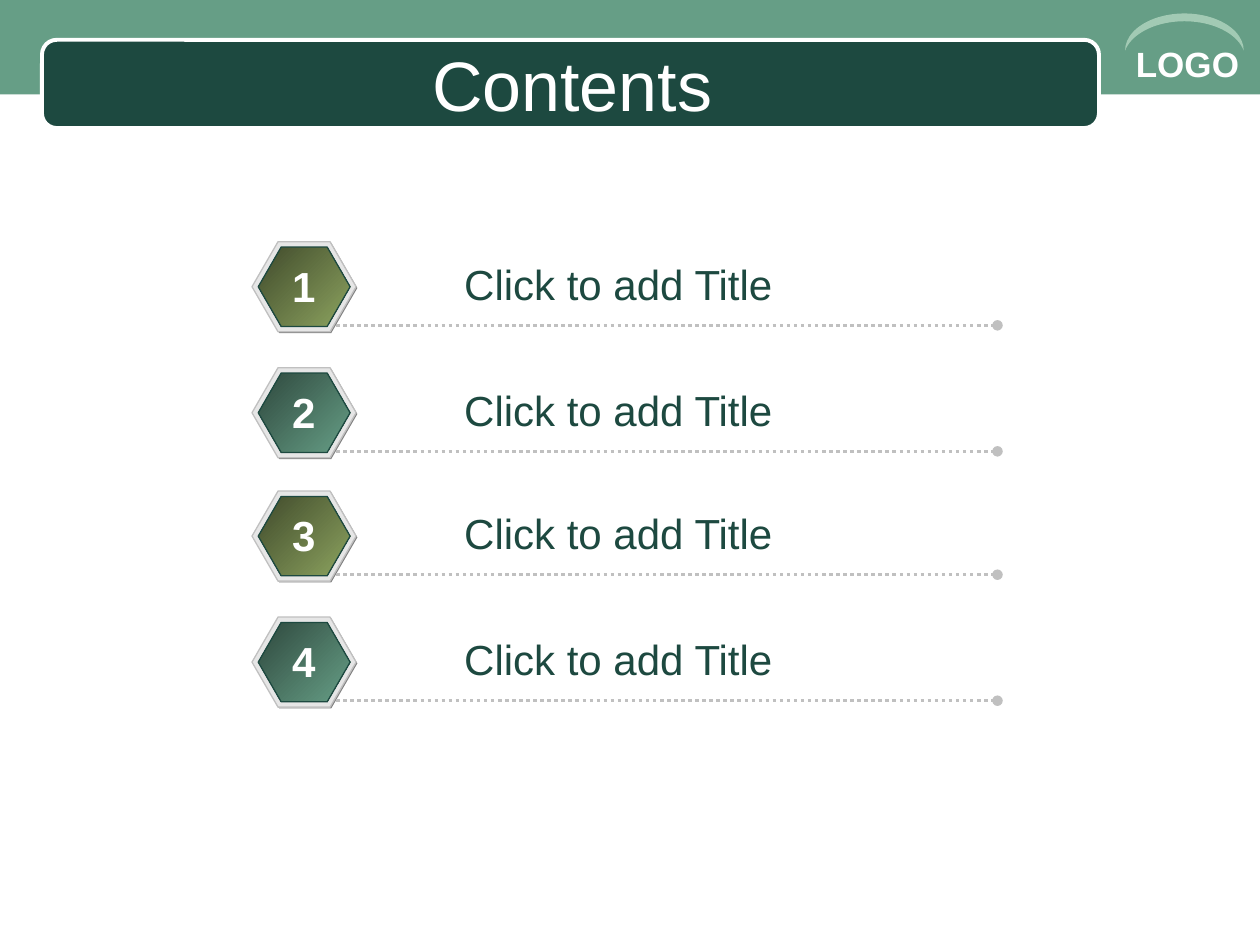
from lxml import etree
from pptx import Presentation
from pptx import util as u
from pptx.dml.color import RGBColor
from pptx.enum import dml, shapes, text
from pptx.oxml.ns import qn

Pt = u.Pt
DARK = RGBColor(0x1D, 0x49, 0x40)
GREEN = RGBColor(0x66, 0x9E, 0x86)
PALE_GREEN = RGBColor(0xA2, 0xCA, 0xB4)
DEEP_GREEN = RGBColor(0x2F, 0x49, 0x3E)
OLIVE = RGBColor(0x8C, 0xA3, 0x5F)
DEEP_OLIVE = RGBColor(0x41, 0x4B, 0x2C)
SHADE = RGBColor(0x80, 0x80, 0x80)
SILVER = RGBColor(0xC0, 0xC0, 0xC0)
RIM = RGBColor(0xE6, 0xE6, 0xE6)
WHITE = RGBColor(0xFF, 0xFF, 0xFF)

# Content: number, label, top of the row, badge gradient
TITLE = "Contents"
BADGE = "LOGO"
ITEMS = [
    ("1", "Click to add Title", 144, [DEEP_OLIVE, OLIVE]),
    ("2", "Click to add Title", 216, [DEEP_GREEN, GREEN]),
    ("3", "Click to add Title", 286.5, [DEEP_OLIVE, OLIVE]),
    ("4", "Click to add Title", 358.5, [DEEP_GREEN, GREEN]),
]

SHAPE = shapes.MSO_SHAPE
LEFT, CENTER = text.PP_ALIGN.LEFT, text.PP_ALIGN.CENTER
TOP, MIDDLE = text.MSO_ANCHOR.TOP, text.MSO_ANCHOR.MIDDLE


def add_shape(parent, kind, box, fill, line=None, width=0.75, adj=None):
    """Add a preset shape; a list as fill gives a diagonal gradient."""
    sp = parent.add_shape(kind, *map(Pt, box))
    sp.shadow.inherit = False
    if adj is not None:
        sp.adjustments[0] = adj
    if isinstance(fill, list):
        sp.fill.gradient()
        sp.fill.gradient_angle = 315
        for stop, color in zip(sp.fill.gradient_stops, fill):
            stop.color.rgb = color
    else:
        sp.fill.solid()
        sp.fill.fore_color.rgb = fill
    if line is None:
        sp.line.fill.background()
    else:
        sp.line.color.rgb = line
        sp.line.width = Pt(width)
    return sp


def add_text(parent, words, box, size=24, color=WHITE, bold=False,
             align=LEFT, anchor=TOP, wrap=True):
    tf = parent.add_textbox(*map(Pt, box)).text_frame
    tf.word_wrap = wrap
    tf.vertical_anchor = anchor
    p = tf.paragraphs[0]
    p.alignment = align
    r = p.add_run()
    r.text = words
    r.font.name = "Arial"
    r.font.size = Pt(size)
    r.font.bold = bold
    r.font.color.rgb = color


def add_dotted_line(parent, x1, x2, y):
    cn = parent.add_connector(shapes.MSO_CONNECTOR.STRAIGHT,
                              Pt(x1), Pt(y), Pt(x2), Pt(y))
    cn.line.color.rgb = SILVER
    cn.line.width = Pt(2)
    cn.line.dash_style = dml.MSO_LINE.ROUND_DOT
    sp_pr = cn._element.spPr
    etree.SubElement(sp_pr.find(qn("a:ln")), qn("a:tailEnd"), type="oval")
    etree.SubElement(sp_pr, qn("a:effectLst"))


def add_hexagon_badge(parent, y, gradient):
    group = parent.add_group_shape().shapes
    layers = [
        ((144.7, y - 5.2, 59.5, 51.5), SHADE, None),
        ((144, y - 5.9, 59.5, 51.5), RIM, SILVER),
        ((147.6, y - 2.8, 52.5, 45.4), gradient, DARK),
    ]
    for box, fill, line in layers:
        add_shape(group, SHAPE.HEXAGON, box, fill, line, adj=0.289)


prs = Presentation()
prs.slide_width, prs.slide_height = Pt(720), Pt(540)
s = prs.slides.add_slide(prs.slide_layouts[6]).shapes

# Header band, title bar and corner mark
add_shape(s, SHAPE.RECTANGLE, (0, 0, 720, 54), GREEN)
add_shape(s, SHAPE.ROUNDED_RECTANGLE, (24, 22.8, 604, 50.4), DARK, WHITE,
          width=2.25, adj=0.167)
add_text(s, BADGE, (642, 21, 78, 31.5), size=20, bold=True)
arc = add_shape(s, SHAPE.MOON, (666.2, -15.6, 21.2, 67.8), PALE_GREEN, adj=0.21)
arc.rotation = 90
add_text(s, TITLE, (36, 25.2, 581.8, 44.6), size=40, align=CENTER, anchor=MIDDLE)

# Numbered rows
for number, label, y, gradient in ITEMS:
    add_hexagon_badge(s, y, gradient)
    add_dotted_line(s, 192, 570, y + 41.9)
    add_text(s, label, (258.2, y, 191.5, 36), color=DARK, wrap=False)
    add_text(s, number, (159.8, y + 1.4, 27.4, 36), bold=True,
             align=CENTER, wrap=False)

prs.save("out.pptx")
